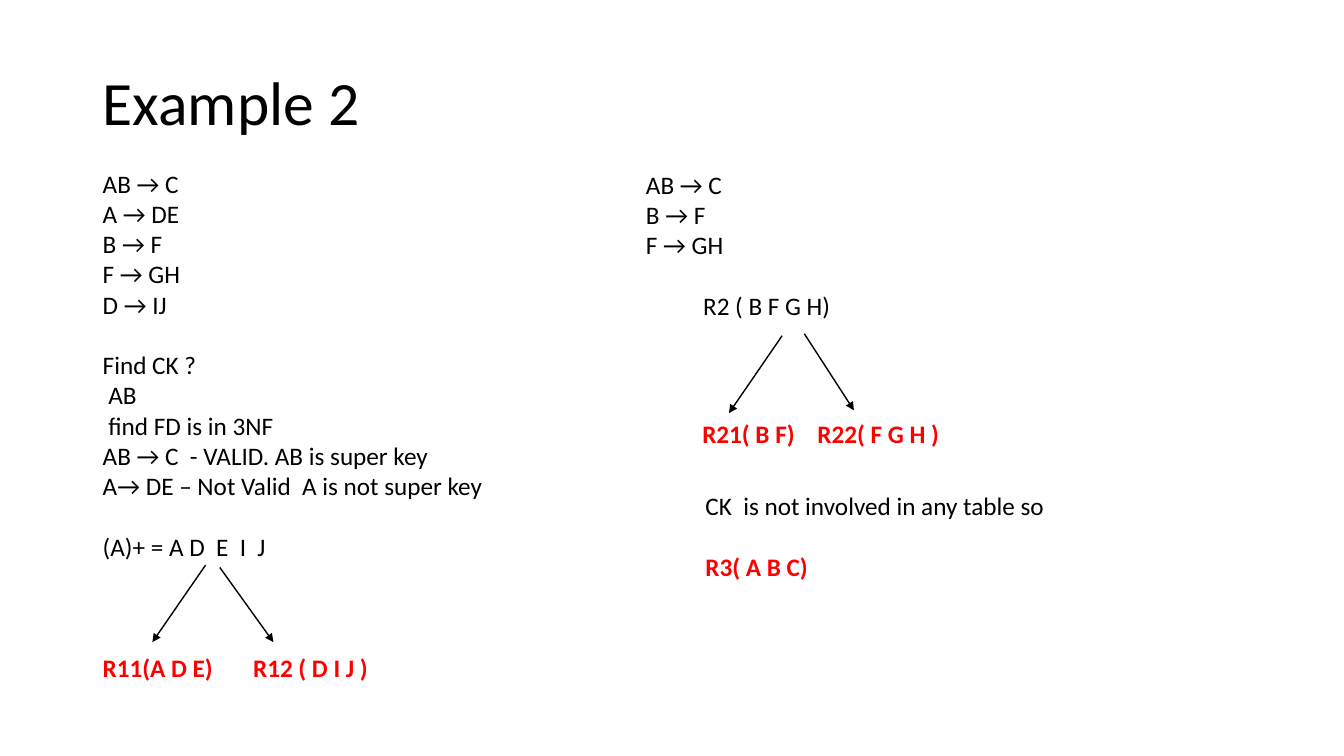
from dataclasses import dataclass

import pptx
import pptx.dml.color
import pptx.enum.shapes
import pptx.enum.text
import pptx.oxml
import pptx.oxml.ns
import pptx.util
from pptx.util import Cm, Pt


@dataclass(frozen=True)
class Theme:
    font: str = "Calibri"
    ink: str = "000000"
    result: str = "FF0000"
    title: float = 44
    body: float = 18
    line: float = 1
    row: float = 21.6


THEME = Theme()


@dataclass(frozen=True)
class Line:
    text: str
    result: bool = False
    rows_before: int = 0
    indent: float = 0
    tab: float = 0


def sub(parent, tag, **attrs):
    el = pptx.oxml.parse_xml(f'<{tag} {pptx.oxml.ns.nsdecls("a")}/>')
    for name, value in attrs.items():
        el.set(name, str(value))
    parent.append(el)
    return el


def add_text(s, x, y, w, h, lines, size=THEME.body):
    tf = s.shapes.add_textbox(Cm(x), Cm(y), Cm(w), Cm(h)).text_frame
    tf.word_wrap = True
    for i, line in enumerate(lines):
        p = tf.paragraphs[0] if i == 0 else tf.add_paragraph()
        if line.rows_before:
            p.space_before = Pt(line.rows_before * THEME.row)
        pPr = p._p.get_or_add_pPr()
        if line.indent:
            pPr.set("marL", str(Cm(line.indent)))
        if line.tab:
            sub(sub(pPr, "a:tabLst"), "a:tab", pos=Cm(line.tab), algn="l")
        r = p.add_run()
        r.text = line.text
        r.font.name = THEME.font
        r.font.size = Pt(size)
        r.font.bold = line.result
        color = THEME.result if line.result else THEME.ink
        r.font.color.rgb = pptx.dml.color.RGBColor.from_string(color)
    return tf


def add_arrow(s, x1, y1, x2, y2):
    c = s.shapes.add_connector(
        pptx.enum.shapes.MSO_CONNECTOR.STRAIGHT, Cm(x1), Cm(y1), Cm(x2), Cm(y2))
    c.line.color.rgb = pptx.dml.color.RGBColor.from_string(THEME.ink)
    c.line.width = Pt(THEME.line)
    sub(c.line._get_or_add_ln(), "a:tailEnd", type="triangle")
    sub(c._element.spPr, "a:effectLst")


def add_split(s, x, y, arrows):
    for x1, y1, x2, y2 in arrows:
        add_arrow(s, x + x1, y + y1, x + x2, y + y2)


def title(s, x, y, w, h):
    tf = add_text(s, x, y, w, h, [Line("Example 2")], THEME.title)
    tf.vertical_anchor = pptx.enum.text.MSO_ANCHOR.MIDDLE
    tf.paragraphs[0].line_spacing = 0.9


def key_search(s, x, y, w, h):
    add_text(s, x, y, w, h, [
        Line("AB → C"),
        Line("A → DE"),
        Line("B → F"),
        Line("F → GH"),
        Line("D → IJ"),
        Line("Find CK ?", rows_before=1),
        Line(" AB"),
        Line(" find FD is in 3NF"),
        Line("AB → C  - VALID. AB is super key"),
        Line("A→ DE – Not Valid  A is not super key"),
        Line("(A)+ = A D  E  I  J", rows_before=1),
        Line("R11(A D E)\tR12 ( D I J )", result=True, rows_before=3, tab=3.79),
    ])
    add_split(s, x, y, [(2.84, 10.13, 1.5, 12.07), (3.2, 10.19, 4.55, 12.07)])


def decomposition(s, x, y, w, h):
    add_text(s, x, y, w, 4.88, [
        Line("AB → C"),
        Line("B → F"),
        Line("F → GH"),
        Line("R2 ( B F G H)", rows_before=1, indent=1.44),
    ])
    add_split(s, x, y, [(3.68, 4.32, 2.34, 6.27), (4.24, 4.27, 5.49, 6.2)])
    add_text(s, x + 1.42, y + 6.27, 6.81, 1.02, [
        Line("R21( B F)\tR22( F G H )", result=True, tab=2.9),
    ])
    add_text(s, x + 1.5, y + 8.1, w - 1.5, h - 8.1, [
        Line("CK  is not involved in any table so"),
        Line("R3( A B C)", result=True, rows_before=1),
    ])


def main():
    prs = pptx.Presentation()
    prs.slide_width, prs.slide_height = Cm(33.87), Cm(19.05)
    s = prs.slides.add_slide(prs.slide_layouts[6])
    title(s, 2.34, 1.02, 29.21, 3.3)
    key_search(s, 2.34, 4.11, 11.79, 13.34)
    decomposition(s, 16.03, 4.14, 11.79, 10.67)
    prs.save("out.pptx")


if __name__ == "__main__":
    main()
